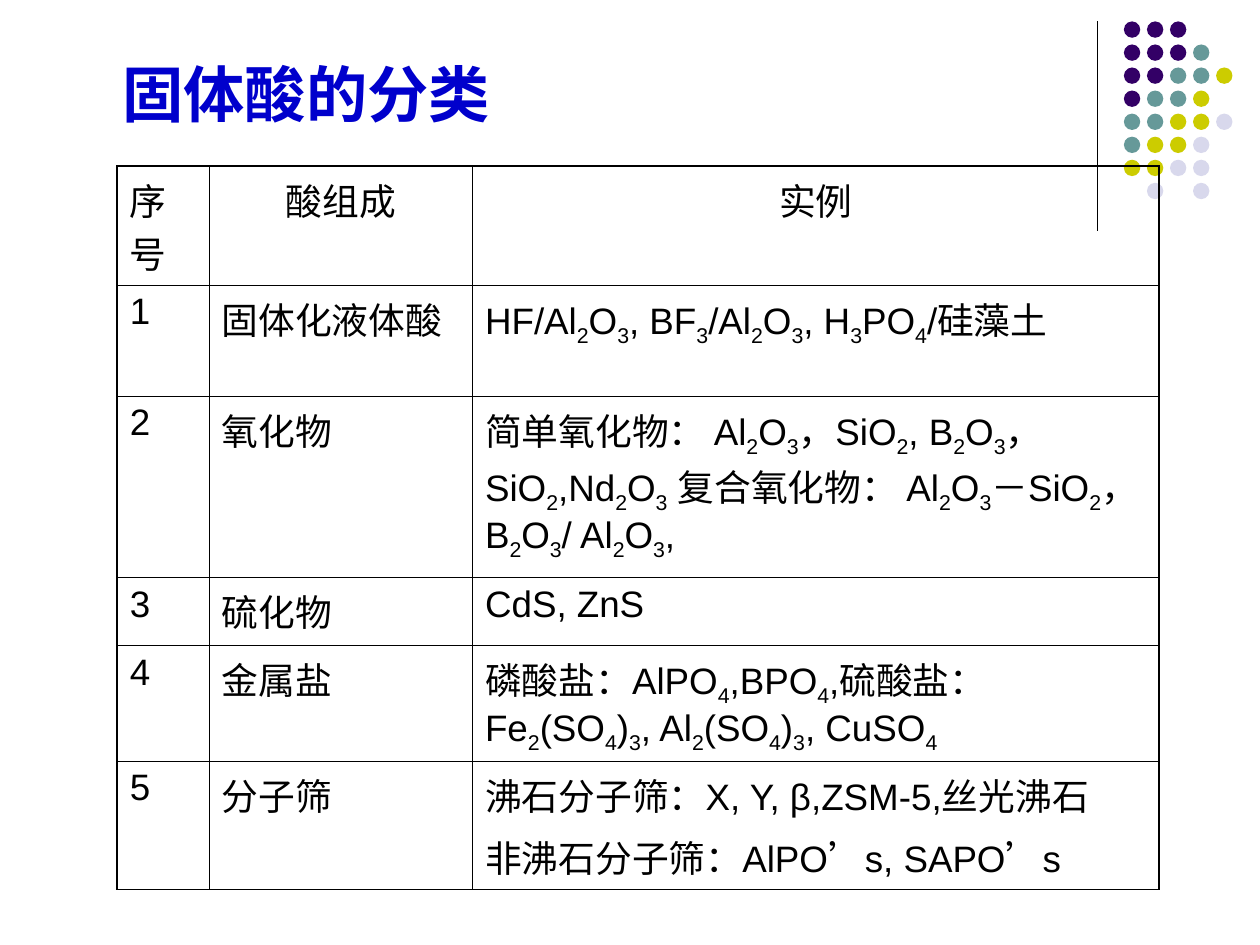
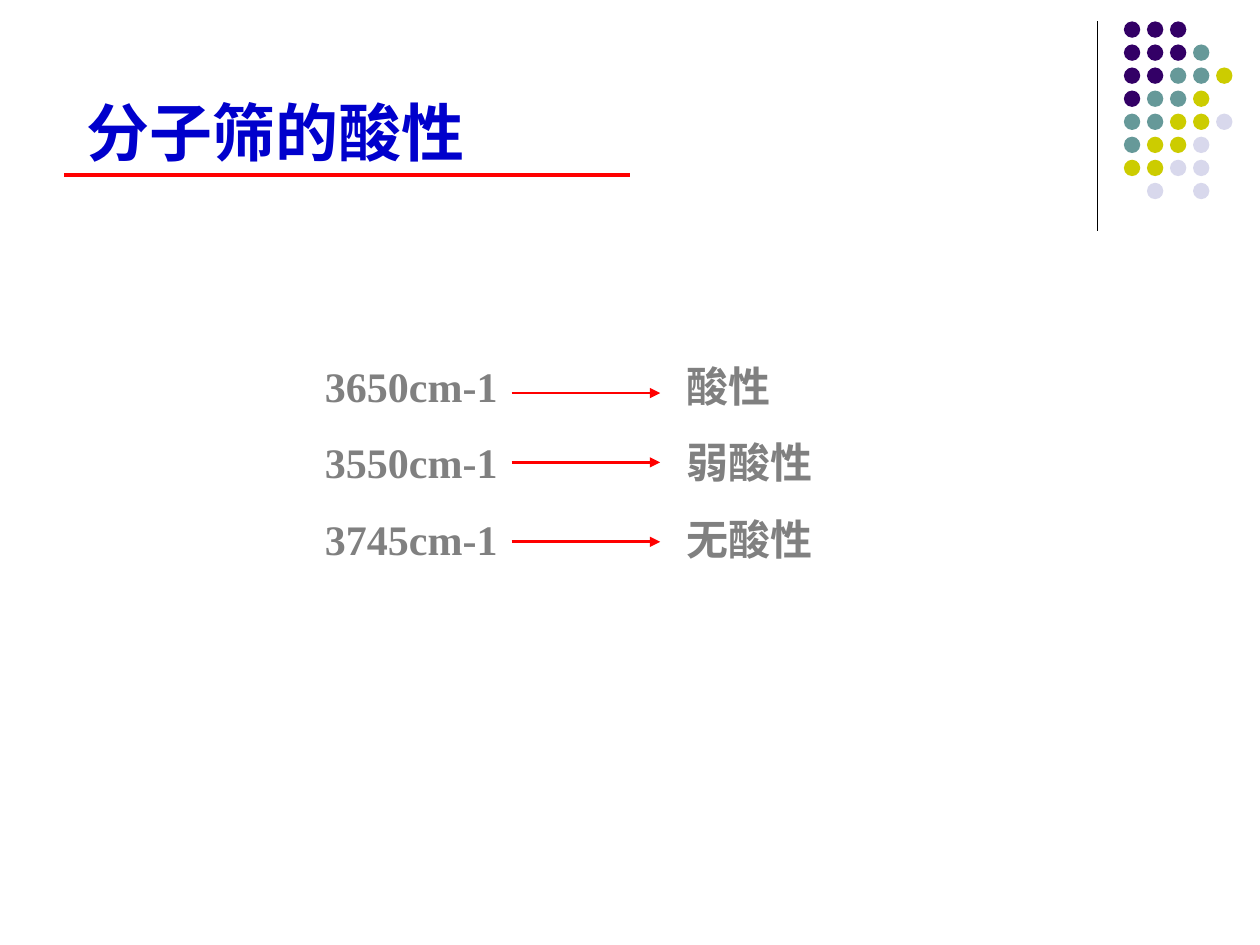
from itertools import groupby

from lxml.etree import SubElement
from pptx import Presentation
from pptx.dml.color import RGBColor
from pptx.enum.shapes import MSO_CONNECTOR, MSO_SHAPE
from pptx.enum.text import MSO_ANCHOR, MSO_AUTO_SIZE, PP_ALIGN
from pptx.oxml.ns import qn
from pptx.util import Inches, Pt

HUES = {
    "black": "000000", "blue": "0000CC", "red": "FF0000", "grey": "808080",
    "violet": "330066", "teal": "669999", "lime": "CCCC00", "pale": "D8D8EC",
}
HAN = "Noto Sans CJK SC"
DOTS = ["VVV", "VVVT", "VVTTL", "VTTL", "TTLLP", "TLLP", "LLPP", " P P"]
KEYS = {"V": "violet", "T": "teal", "L": "lime", "P": "pale"}

HEAD = ["序号", "酸组成", "实例"]
ACIDS = [
    ("固体化液体酸", ["HF/Al2O3, BF3/Al2O3, H3PO4/硅藻土"]),
    ("氧化物", ["简单氧化物： Al2O3，SiO2, B2O3，SiO2,Nd2O3 "
             "复合氧化物： Al2O3－SiO2， B2O3/ Al2O3,"]),
    ("硫化物", ["CdS, ZnS"]),
    ("金属盐", ["磷酸盐：AlPO4,BPO4,硫酸盐：Fe2(SO4)3, Al2(SO4)3, CuSO4"]),
    ("分子筛", ["沸石分子筛：X, Y, β,ZSM-5,丝光沸石",
             "非沸石分子筛：AlPO’s, SAPO’s"]),
]
COLS = [0.73, 2.09, 5.45]
ROWS = [0.89, 0.88, 1.34, 0.54, 0.89, 0.98]
BANDS = [("3650cm-1", "酸性", 3.12), ("3550cm-1", "弱酸性", 3.67),
         ("3745cm-1", "无酸性", 4.3)]


def hue(name):
    return RGBColor.from_string(HUES[name])


def style(para, face, size, name, bold=False):
    font = para.font
    font.name, font.size, font.bold = face, Pt(size), bold
    font.color.rgb = hue(name)
    SubElement(font._rPr, qn("a:ea"), typeface=HAN)


def line(shapes, start, end, name, width, arrow=False):
    ends = [Inches(v) for v in (*start, *end)]
    rule = shapes.add_connector(MSO_CONNECTOR.STRAIGHT, *ends)
    rule.line.color.rgb = hue(name)
    rule.line.width = Pt(width)
    if arrow:
        SubElement(rule.line._get_or_add_ln(), qn("a:tailEnd"), type="triangle")
    SubElement(rule.element.spPr, qn("a:effectLst"))


def motif(slide, layout):
    """Draw the corner line and dots, and hand them to the layout."""
    group = slide.shapes.add_group_shape()
    line(group.shapes, (8.71, 0.17), (8.71, 1.83), "black", 0.75)
    for row, marks in enumerate(DOTS):
        for col, mark in enumerate(marks):
            if mark == " ":
                continue
            left, top = 8.92 + 0.183 * col, 0.17 + 0.183 * row
            dot = group.shapes.add_shape(
                MSO_SHAPE.OVAL, Inches(left), Inches(top),
                Inches(0.13), Inches(0.13))
            dot.shadow.inherit = False
            dot.fill.solid()
            dot.fill.fore_color.rgb = hue(KEYS[mark])
            dot.line.fill.background()
    layout.shapes.element.append(group.element)


def title(slide, text, box, face, size, space=1.0):
    shape = slide.shapes.title
    shape.left, shape.top, shape.width, shape.height = map(Inches, box)
    frame = shape.text_frame
    frame.text = text
    frame.word_wrap = True
    frame.auto_size = MSO_AUTO_SIZE.NONE
    frame.vertical_anchor = MSO_ANCHOR.MIDDLE
    para = frame.paragraphs[0]
    para.alignment = PP_ALIGN.LEFT
    para.line_spacing = space
    para.space_before = Pt(0)
    style(para, face, size, "blue", True)


def formula(para, text):
    """Lower each number that follows a letter or a closing bracket."""
    last = ""
    for digit, part in groupby(text, str.isdigit):
        run = para.add_run()
        run.text = "".join(part)
        if digit and (last.isalpha() or last == ")"):
            run._r.get_or_add_rPr().set("baseline", "-25000")
        last = run.text[-1]


def border(cell, edges):
    props = cell._tc.get_or_add_tcPr()
    for side, width in edges.items():
        edge = SubElement(props, qn("a:ln" + side), w=str(Pt(width)))
        fill = SubElement(edge, qn("a:solidFill"))
        SubElement(fill, qn("a:srgbClr"), val=HUES["black"])


def fill_cell(cell, texts, align):
    frame = cell.text_frame
    for i, text in enumerate(texts):
        para = frame.add_paragraph() if i else frame.paragraphs[0]
        para.alignment = align
        para.space_before = Pt(5.2 if i else 0)
        formula(para, text)
        style(para, "Arial", 21, "black")


def table(slide):
    rows = [[[text] for text in HEAD]]
    rows += [[[str(i)], [kind], cases]
             for i, (kind, cases) in enumerate(ACIDS, 1)]
    grid = slide.shapes.add_table(
        len(ROWS), len(COLS), Inches(0.93), Inches(1.32),
        Inches(sum(COLS)), Inches(sum(ROWS))).table
    grid.first_row = grid.horz_banding = False
    for col, width in zip(grid.columns, COLS):
        col.width = Inches(width)
    for row, height in zip(grid.rows, ROWS):
        row.height = Inches(height)
    for r, row in enumerate(rows):
        for c, texts in enumerate(row):
            cell = grid.cell(r, c)
            outer = {"L": c == 0, "R": c == len(COLS) - 1,
                     "T": r == 0, "B": r == len(ROWS) - 1}
            border(cell, {k: 1.08 if v else 0.45 for k, v in outer.items()})
            cell.fill.background()
            mid = r == 0 and c > 0
            fill_cell(cell, texts, PP_ALIGN.CENTER if mid else PP_ALIGN.LEFT)


def bands(slide):
    box = slide.shapes.add_textbox(
        Inches(2.48), Inches(2.81), Inches(4.65), Inches(1.72))
    frame = box.text_frame
    frame.word_wrap = True
    for i, (wave, acid, y) in enumerate(BANDS):
        para = frame.add_paragraph() if i else frame.paragraphs[0]
        para.text = f"{wave}\t{acid}"
        para.space_before = Pt(15 if i else 0)
        tabs = SubElement(para._p.get_or_add_pPr(), qn("a:tabLst"))
        SubElement(tabs, qn("a:tab"), pos=str(Inches(2.87)), algn="l")
        style(para, "Times New Roman", 24, "grey", True)
        line(slide.shapes, (4.06, y), (5.24, y), "red", 1.5, True)


def main():
    deck = Presentation()
    deck.slide_width, deck.slide_height = Inches(10), Inches(7.5)
    layout = deck.slide_layouts[5]
    for holder in list(layout.placeholders):
        if holder.placeholder_format.idx:
            layout.shapes.element.remove(holder.element)

    # Classes of solid acids
    slide = deck.slides.add_slide(layout)
    motif(slide, layout)
    title(slide, "固体酸的分类", (0.87, 0.36, 8.18, 0.84), HAN, 35, 0.85)
    table(slide)

    # Acidity of molecular sieves
    slide = deck.slides.add_slide(layout)
    title(slide, "分子筛的酸性", (0.59, 0.69, 4.33, 0.7), "Arial", 36)
    line(slide.shapes, (0.51, 1.39), (5, 1.39), "red", 2)
    bands(slide)

    deck.save("out.pptx")


if __name__ == "__main__":
    main()
